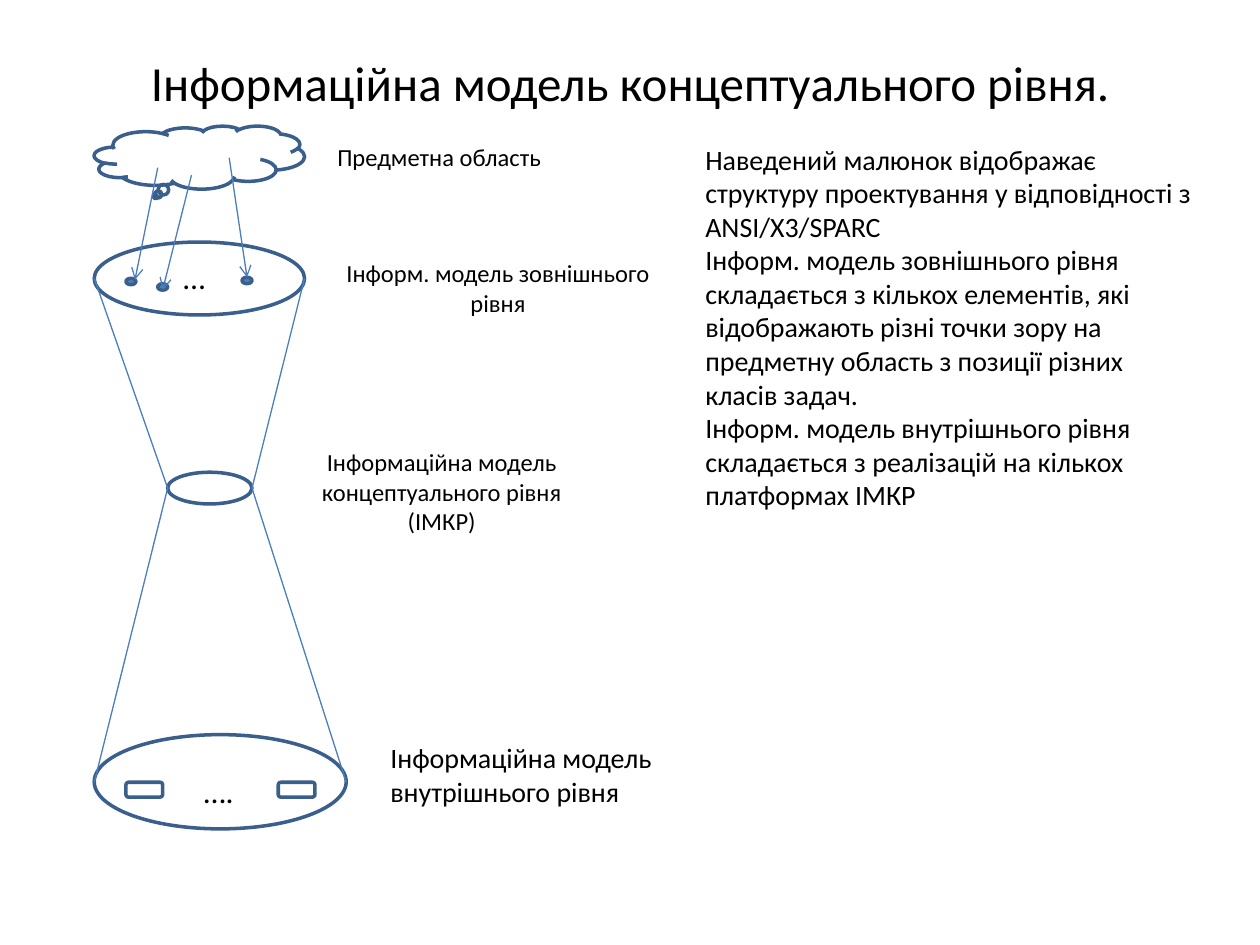
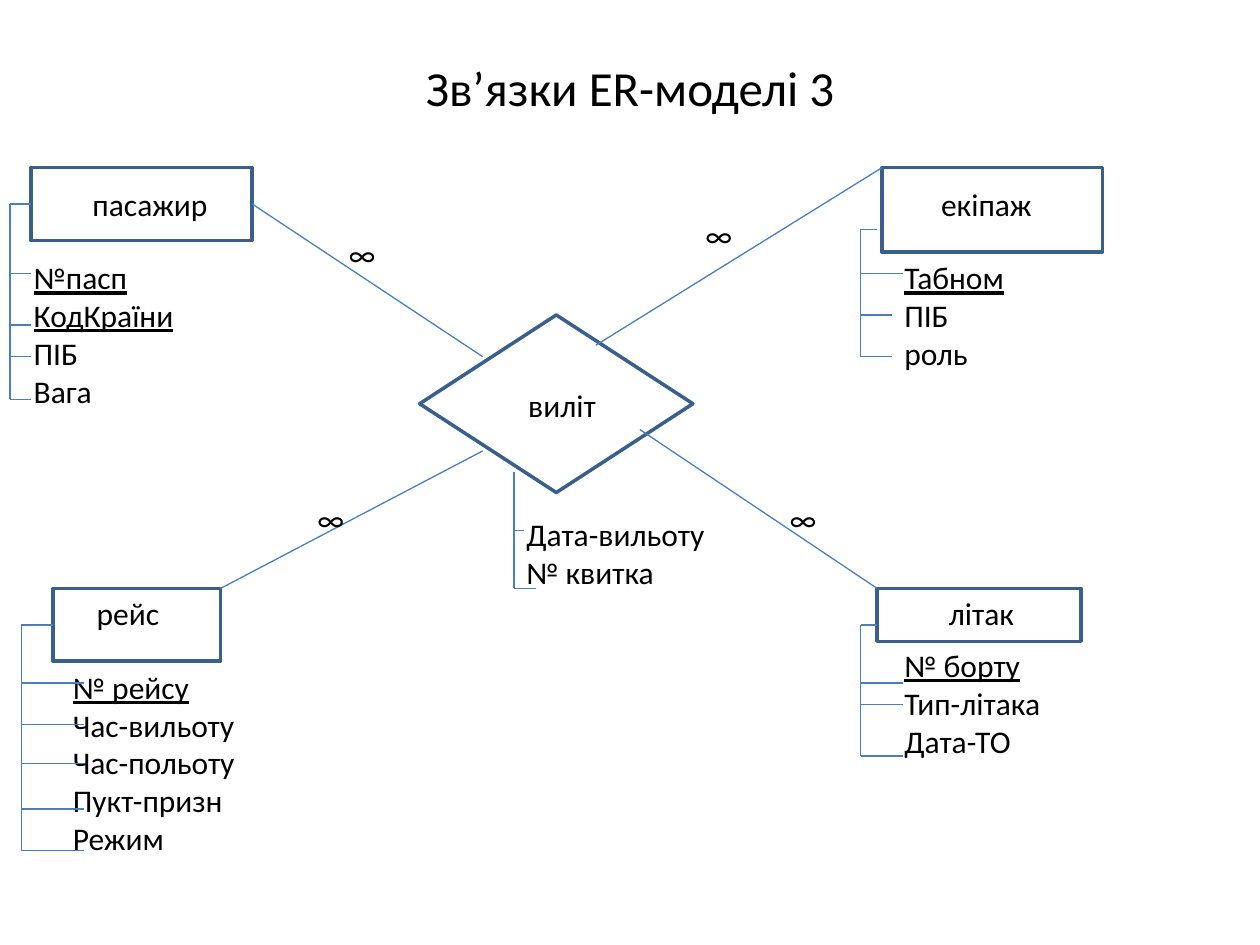
"""Build two slides: the conceptual-level information model and an ER model."""
from pptx import Presentation
from pptx.dml.color import RGBColor
from pptx.enum.shapes import MSO_CONNECTOR as Connector, MSO_SHAPE as Preset
from pptx.enum.text import MSO_ANCHOR as Anchor, PP_ALIGN as Align
from pptx.oxml.ns import qn
from pptx.util import Cm, Pt
from lxml.etree import SubElement

BLACK = RGBColor(0x00, 0x00, 0x00)
OUTLINE = RGBColor(0x3A, 0x5F, 0x8C)
DOT_FILL = RGBColor(0x4F, 0x81, 0xBD)
LINK = RGBColor(0x4B, 0x7E, 0xBC)


class Diagram:
    """Hold the style and the current slide, and draw elements in centimetres."""

    font = "Calibri"
    title_size = 28
    text_size = 18
    outline_width = 2
    link_width = 0.75

    def __init__(self):
        self.presentation = Presentation()
        self.presentation.slide_width = Cm(25.4)
        self.presentation.slide_height = Cm(19.05)
        self.slide = None

    def add_run(self, paragraph, text, size, underline=None):
        """Add one formatted run."""
        run = paragraph.add_run()
        run.text = text
        run.font.name = self.font
        run.font.size = Pt(size)
        run.font.color.rgb = BLACK
        run.font.underline = underline

    def new_slide(self, title, title_height):
        """Start a slide with its title."""
        self.slide = self.presentation.slides.add_slide(self.presentation.slide_layouts[5])
        shape = self.slide.shapes.title
        shape.left, shape.top = Cm(1.27), Cm(0.76)
        shape.width, shape.height = Cm(22.86), Cm(title_height)
        shape.text_frame.vertical_anchor = Anchor.MIDDLE
        paragraph = shape.text_frame.paragraphs[0]
        paragraph.alignment = Align.CENTER
        self.add_run(paragraph, title, self.title_size)

    def shape(self, preset, box, fill=None):
        """Draw an outlined preset shape."""
        shape = self.slide.shapes.add_shape(preset, *map(Cm, box))
        shape.shadow.inherit = False
        if fill is None:
            shape.fill.background()
        else:
            shape.fill.solid()
            shape.fill.fore_color.rgb = fill
        shape.line.color.rgb = OUTLINE
        shape.line.width = Pt(self.outline_width)

    def text(self, box, *lines, size=text_size, align=Align.LEFT, keys=0):
        """Write one paragraph per line, underlining the first keys of them."""
        frame = self.slide.shapes.add_textbox(*map(Cm, box)).text_frame
        frame.word_wrap = True
        for index, line in enumerate(lines):
            paragraph = frame.add_paragraph() if index else frame.paragraphs[0]
            paragraph.alignment = align
            self.add_run(paragraph, line, size, underline=True if index < keys else None)

    def link(self, start, end, arrow=False):
        """Draw a straight line, optionally with an arrowhead at its end."""
        connector = self.slide.shapes.add_connector(
            Connector.STRAIGHT, *map(Cm, (*start, *end)))
        connector.line.color.rgb = LINK
        connector.line.width = Pt(self.link_width)
        properties = connector._element.spPr
        if arrow:
            SubElement(properties.find(qn("a:ln")), qn("a:tailEnd"), type="arrow")
        SubElement(properties, qn("a:effectLst"))

    def comb(self, left, top, teeth):
        """Draw a vertical trunk with horizontal teeth given as (y, right end)."""
        self.link((left, top), (left, teeth[-1][0]))
        for y, right in teeth:
            self.link((left, y), (right, y))

    def entity(self, preset, box, name, name_box, attributes, attribute_box,
               trunk, teeth, keys=0, align=Align.CENTER):
        """Draw a named node with its list of attributes."""
        self.shape(preset, box)
        self.text(name_box, name, align=align)
        self.text(attribute_box, *attributes, keys=keys)
        self.comb(*trunk, teeth)


def build_levels(diagram):
    """Draw the levels of the information model."""
    diagram.new_slide("Інформаційна модель концептуального рівня.", 1.78)
    diagram.shape(Preset.CLOUD_CALLOUT, (1.9, 2.54, 4.24, 1.27))
    for level in ((1.9, 4.88, 4.24, 1.47), (3.38, 9.52, 1.7, 0.64), (1.9, 14.81, 5.08, 1.9)):
        diagram.shape(Preset.OVAL, level)
    for left, top in ((2.54, 5.61), (3.18, 5.72), (4.88, 5.59)):
        diagram.shape(Preset.OVAL, (left, top, 0.2, 0.13), DOT_FILL)
    for left in (2.54, 5.61):
        diagram.shape(Preset.ROUNDED_RECTANGLE, (left, 15.77, 0.74, 0.3))

    for waist, upper, lower in ((3.38, 1.9, 1.9), (5.08, 6.14, 6.98)):
        diagram.link((upper, 5.61), (waist, 9.84))
        diagram.link((waist, 9.84), (lower, 15.77))
    for start, end in (((3.18, 3.38), (2.72, 5.64)),
                       ((3.86, 3.53), (3.28, 5.84)),
                       ((4.62, 3.18), (4.98, 5.59))):
        diagram.link(start, end, arrow=True)

    diagram.text((3.45, 5.08, 1.17, 1.02), "…")
    diagram.text((3.86, 15.44, 1.42, 1.02), "….")
    diagram.text((6.55, 2.74, 4.65, 0.86), "Предметна область", size=14)
    diagram.text((6.55, 5.08, 6.98, 1.45), "Інформ. модель зовнішнього рівня",
                 size=14, align=Align.CENTER)
    diagram.text((6.15, 8.89, 5.51, 2.24), "Інформаційна модель концептуального рівня (ІМКР)",
                 size=14, align=Align.CENTER)
    diagram.text((7.62, 14.81, 5.92, 1.63), "Інформаційна модель внутрішнього рівня", size=16)
    diagram.text(
        (13.97, 2.74, 10.36, 7.77),
        "Наведений малюнок відображає структуру проектування у відповідності з ANSI/X3/SPARC",
        "Інформ. модель зовнішнього рівня складається з кількох елементів, які відображають "
        "різні точки зору на предметну область з позиції різних класів задач.",
        "Інформ. модель внутрішнього рівня складається з реалізацій на кількох платформах ІМКР",
        size=16)


def build_relations(diagram):
    """Draw the ER model of a departure."""
    diagram.new_slide("Зв’язки ЕR-моделі 3", 1.98)
    diagram.entity(
        Preset.RECTANGLE, (0.63, 3.38, 4.45, 1.47), "пасажир", (1.22, 3.61, 3.61, 1.07),
        ("№пасп", "КодКраїни", "ПІБ", "Вага"), (0.43, 5.08, 3.61, 3.33),
        (0.2, 4.11), [(y, 0.63) for y in (4.11, 5.51, 6.55, 7.19, 8.05)], keys=2)
    diagram.entity(
        Preset.RECTANGLE, (1.07, 11.86, 3.38, 1.47), "рейс", (1.7, 11.86, 1.9, 1.07),
        ("№ рейсу", "Час-вильоту", "Час-польоту", "Пукт-призн", "Режим"),
        (1.22, 13.34, 4.06, 4.11), (0.43, 12.6),
        [(12.6, 1.07)] + [(y, 1.7) for y in (13.77, 14.61, 15.39, 16.31, 17.14)],
        keys=1, align=Align.LEFT)
    diagram.entity(
        Preset.RECTANGLE, (17.78, 3.38, 4.45, 1.7), "екіпаж", (17.98, 3.61, 3.81, 1.02),
        ("Табном", "ПІБ", "роль"), (17.98, 5.08, 3.81, 2.57),
        (17.35, 4.62), [(4.62, 17.68), (5.51, 18.21), (6.35, 17.98), (7.19, 17.98)], keys=1)
    diagram.entity(
        Preset.RECTANGLE, (17.68, 11.86, 4.11, 1.07), "літак", (17.98, 11.86, 3.61, 1.02),
        ("№ борту", "Тип-літака", "Дата-ТО"), (17.98, 12.9, 3.61, 2.57),
        (17.35, 12.6), [(12.6, 17.68)] + [(y, 18.21) for y in (13.77, 14.2, 15.24)], keys=1)
    diagram.entity(
        Preset.FLOWCHART_DECISION, (8.46, 6.35, 5.51, 3.58), "виліт", (9.96, 7.65, 2.74, 1.02),
        ("Дата-вильоту", "№ квитка"), (10.36, 10.26, 4.52, 1.8),
        (10.36, 9.52), [(10.69, 10.57), (11.86, 10.8)])

    for entity_end, departure_end, many in (
            ((5.08, 4.11), (9.73, 7.19), (6.78, 4.62)),
            ((4.45, 11.86), (9.73, 9.09), (6.15, 9.96)),
            ((17.78, 3.38), (12.01, 6.96), (13.97, 4.24)),
            ((17.68, 11.86), (12.9, 8.66), (15.67, 9.96))):
        diagram.link(entity_end, departure_end)
        diagram.text((*many, 1.07, 1.02), "∞")


def main():
    """Build and save the presentation."""
    diagram = Diagram()
    build_levels(diagram)
    build_relations(diagram)
    diagram.presentation.save("out.pptx")


if __name__ == "__main__":
    main()
